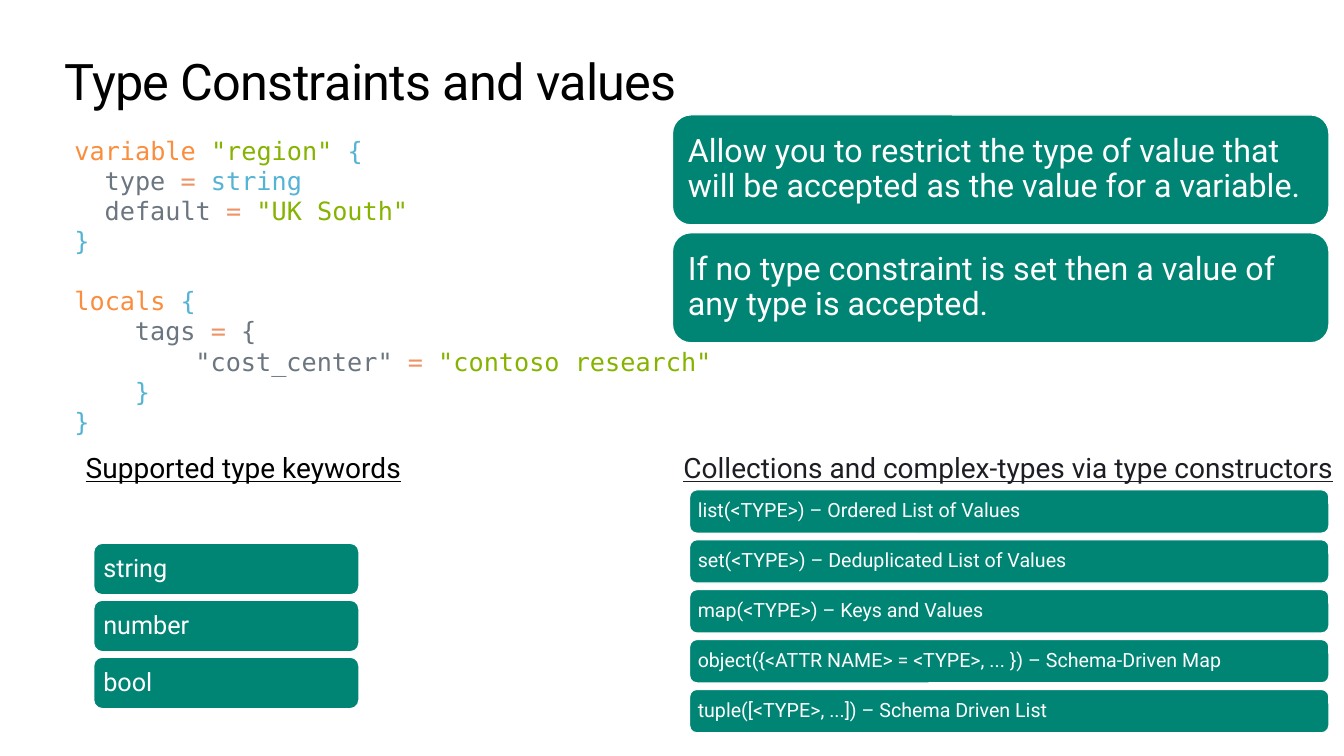
from dataclasses import dataclass

from lxml import etree
from pptx import Presentation
from pptx.dml.color import RGBColor
from pptx.enum.shapes import MSO_SHAPE
from pptx.enum.text import MSO_ANCHOR, PP_ALIGN
from pptx.oxml.ns import qn
from pptx.slide import Slide
from pptx.util import Inches, Pt

ROUNDED = MSO_SHAPE.ROUNDED_RECTANGLE
MIDDLE = MSO_ANCHOR.MIDDLE
LEFT = PP_ALIGN.LEFT

BLACK = RGBColor(0x00, 0x00, 0x00)
WHITE = RGBColor(0xFF, 0xFF, 0xFF)
CHARCOAL = RGBColor(0x1D, 0x1E, 0x23)
TEAL = RGBColor(0x00, 0x85, 0x75)
ORANGE = RGBColor(0xFA, 0x8D, 0x3E)
GREEN = RGBColor(0x86, 0xB3, 0x00)
BLUE = RGBColor(0x55, 0xB4, 0xD4)
GREY = RGBColor(0x6C, 0x76, 0x80)
SALMON = RGBColor(0xED, 0x93, 0x66)

BODY_FONT = "Roboto"
CODE_FONT = "DejaVu Sans Mono"
CODE_SIZE = 18
CODE_CHARACTER = 0.15


@dataclass(frozen=True)
class Label:
    text: str
    left: float
    top: float
    width: float
    height: float
    size: float
    color: RGBColor
    inset: float = 0
    underline: bool = False
    wrap: bool = True
    tracking: float = 0


@dataclass(frozen=True)
class CardStack:
    texts: tuple[str, ...]
    left: float
    first_top: float
    last_top: float
    width: float
    height: float
    size: float
    inset: float


@dataclass(frozen=True)
class CodeLine:
    indent: int
    tokens: tuple[tuple[str, RGBColor], ...]
    space_before: float = 0


LABELS = (
    Label("Type Constraints and values", 0.64, 0.5, 12.05, 0.61, 36, BLACK, tracking=-0.5),
    Label("Supported type keywords", 0.85, 4.47, 3.97, 0.34, 20, BLACK, underline=True),
    Label("Collections and complex-types via type constructors",
          6.68, 4.42, 6.65, 0.44, 20, CHARCOAL, inset=0.1, underline=True, wrap=False),
)

STACKS = (
    CardStack(("string", "number", "bool"), 0.93, 5.39, 6.52, 2.63, 0.51, 18, 0.07),
    CardStack((
        "list(<TYPE>) – Ordered List of Values",
        "set(<TYPE>) – Deduplicated List of Values",
        "map(<TYPE>) – Keys and Values",
        "object({<ATTR NAME> = <TYPE>, ... }) – Schema-Driven Map",
        "tuple([<TYPE>, ...]) – Schema Driven List",
    ), 6.84, 4.86, 6.84, 6.34, 0.43, 14, 0.06),
    CardStack((
        "Allow you to restrict the type of value that will be accepted as the value for a variable.",
        "If no type constraint is set then a value of any type is accepted.",
    ), 6.67, 1.14, 2.31, 6.51, 1.09, 23, 0.1),
)

CODE = (
    CodeLine(0, (("variable ", ORANGE), ('"region" ', GREEN), ("{", BLUE))),
    CodeLine(2, (("type ", GREY), ("= ", SALMON), ("string", BLUE))),
    CodeLine(2, (("default ", GREY), ("= ", SALMON), ('"UK South"', GREEN))),
    CodeLine(0, (("}", BLUE),)),
    CodeLine(0, (("locals ", ORANGE), ("{", BLUE)), space_before=21),
    CodeLine(4, (("tags ", GREY), ("= ", SALMON), ("{", GREY))),
    CodeLine(8, (('"cost_center" ', GREY), ("= ", SALMON), ('"contoso research"', GREEN))),
    CodeLine(4, (("}", BLUE),)),
    CodeLine(0, (("}", BLUE),)),
)


def style_font(font, name: str, size: float, color: RGBColor) -> None:
    font.name = name
    font.size = Pt(size)
    font.color.rgb = color


def set_insets(frame, inset: float) -> None:
    frame.margin_left = frame.margin_right = Inches(inset)
    frame.margin_top = frame.margin_bottom = Inches(inset)


def add_label(page: Slide, label: Label) -> None:
    box = page.shapes.add_textbox(
        Inches(label.left), Inches(label.top), Inches(label.width), Inches(label.height))
    frame = box.text_frame
    frame.text = label.text
    frame.word_wrap = label.wrap
    set_insets(frame, label.inset)
    if label.inset:
        frame.margin_top = frame.margin_bottom = Inches(0.05)
    span = frame.paragraphs[0].runs[0]
    style_font(span.font, BODY_FONT, label.size, label.color)
    if label.underline:
        span.font.underline = True
    if label.tracking:
        span.font._element.set("spc", str(round(label.tracking * 100)))


def add_stack(page: Slide, stack: CardStack) -> None:
    pitch = (stack.last_top - stack.first_top) / (len(stack.texts) - 1)
    for index, text in enumerate(stack.texts):
        card = page.shapes.add_shape(
            ROUNDED, Inches(stack.left), Inches(stack.first_top + index * pitch),
            Inches(stack.width), Inches(stack.height))
        card.shadow.inherit = False
        card.fill.solid()
        card.fill.fore_color.rgb = TEAL
        card.line.color.rgb = WHITE
        card.line.width = Pt(0.85)
        frame = card.text_frame
        frame.text = text
        frame.word_wrap = True
        frame.vertical_anchor = MIDDLE
        set_insets(frame, stack.inset)
        para = frame.paragraphs[0]
        para.alignment = LEFT
        para.line_spacing = 0.9
        style_font(para.runs[0].font, BODY_FONT, stack.size, WHITE)


def add_code(page: Slide, lines: tuple[CodeLine, ...]) -> None:
    box = page.shapes.add_textbox(Inches(0.64), Inches(1.29), Inches(6.67), Inches(3.13))
    frame = box.text_frame
    frame.word_wrap = True
    for index, line in enumerate(lines):
        para = frame.add_paragraph() if index else frame.paragraphs[0]
        para.space_before = Pt(line.space_before)
        properties: etree._Element = para._p.get_or_add_pPr()
        properties.set("marL", str(Inches(line.indent * CODE_CHARACTER)))
        properties.set("indent", "0")
        if properties.find(qn("a:buNone")) is None:
            etree.SubElement(properties, qn("a:buNone"))
        for text, color in line.tokens:
            span = para.add_run()
            span.text = text
            style_font(span.font, CODE_FONT, CODE_SIZE, color)


def main() -> None:
    deck = Presentation()
    deck.slide_width = Inches(13.33)
    deck.slide_height = Inches(7.5)
    page = deck.slides.add_slide(deck.slide_layouts[6])
    for stack in STACKS:
        add_stack(page, stack)
    for label in LABELS:
        add_label(page, label)
    add_code(page, CODE)
    deck.save("out.pptx")


if __name__ == "__main__":
    main()
